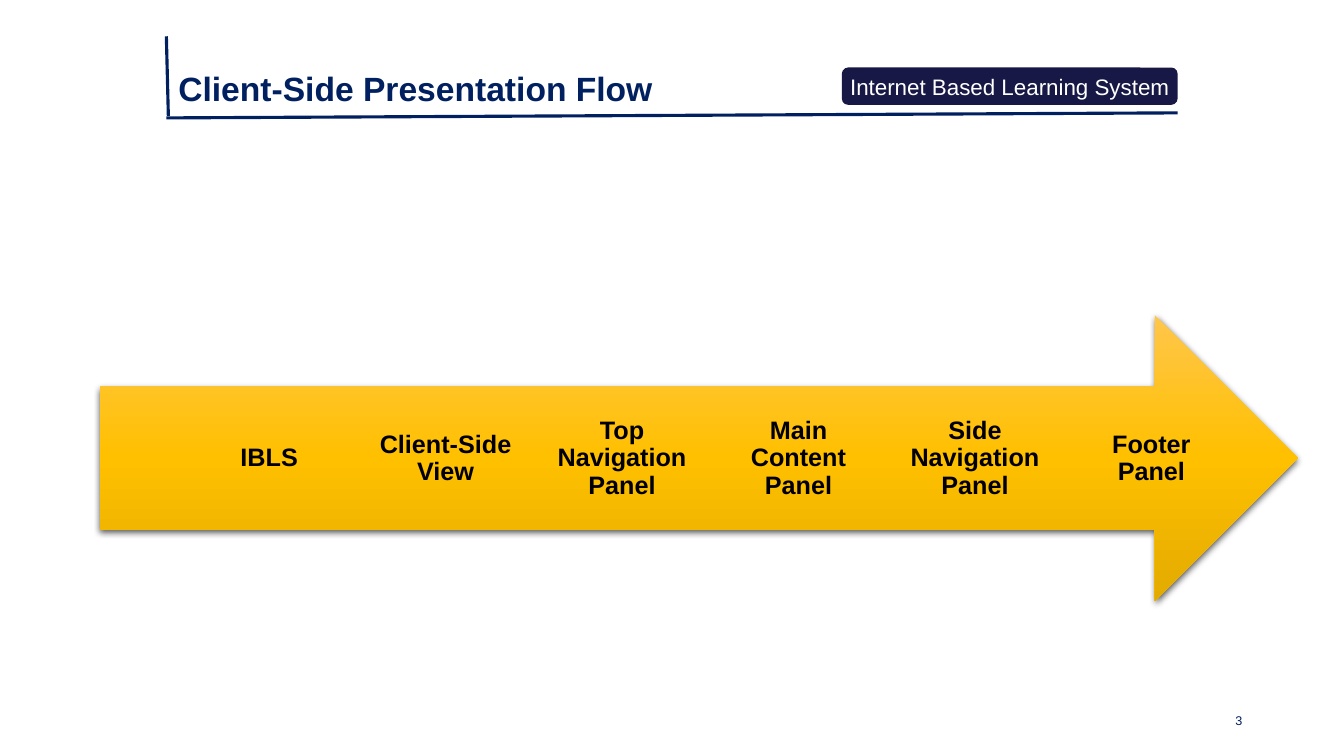
from copy import deepcopy
from dataclasses import dataclass

from lxml.etree import SubElement
from pptx import Presentation
from pptx.dml.color import RGBColor
from pptx.enum.shapes import MSO_CONNECTOR, MSO_SHAPE
from pptx.enum.text import MSO_ANCHOR as ANCHOR, PP_ALIGN as ALIGN
from pptx.oxml.ns import qn
from pptx.util import Emu, Pt

EMU_PER_PX = 9144  # 100 px to the inch
NAVY = "002060"
BADGE = "171845"
WHITE = "FFFFFF"
BLACK = "000000"
ARROW_STOPS = [(0, "FFC64B"), (0.5, "FFC000"), (1, "E3AB00")]
STAGES = ["IBLS", "Client-Side View", "Top Navigation Panel",
          "Main Content Panel", "Side Navigation Panel", "Footer Panel"]
STAGE_LEFT, STAGE_STEP = 194, 175


@dataclass
class Box:
    left: int
    top: int
    width: int
    height: int

    def emu(self) -> list[Emu]:
        return [px(v) for v in (self.left, self.top, self.width, self.height)]


@dataclass
class Rule:
    x1: int
    y1: int
    x2: int
    y2: int


TITLE_RULES = [Rule(165, 36, 167, 115), Rule(165, 117, 1168, 112)]


def px(value: int) -> Emu:
    return Emu(value * EMU_PER_PX)


def rgb(color: str) -> RGBColor:
    return RGBColor.from_string(color)


def write(sp, text: str, *, size: int, color: str, bold: bool = False,
          align=ALIGN.LEFT, anchor=ANCHOR.MIDDLE, spacing: float = 1.0,
          inset_x: int = 10, inset_y: int = 5) -> None:
    tf = sp.text_frame
    tf.word_wrap = True
    tf.vertical_anchor = anchor
    tf.margin_left = tf.margin_right = px(inset_x)
    tf.margin_top = tf.margin_bottom = px(inset_y)
    p = tf.paragraphs[0]
    p.alignment = align
    p.line_spacing = spacing
    r = p.add_run()
    r.text = text
    r.font.name = "Arial"
    r.font.size = Pt(size)
    r.font.bold = bold
    r.font.color.rgb = rgb(color)


def add_text(s, box: Box, text: str, **text_format) -> None:
    write(s.shapes.add_textbox(*box.emu()), text, **text_format)


def add_rule(s, rule: Rule) -> None:
    line = s.shapes.add_connector(MSO_CONNECTOR.STRAIGHT, px(rule.x1), px(rule.y1),
                                  px(rule.x2), px(rule.y2))
    line.line.color.rgb = rgb(NAVY)
    line.line.width = Pt(2.25)
    SubElement(line._element.spPr, qn("a:effectLst"))


def add_shape(s, kind, box: Box):
    sp = s.shapes.add_shape(kind, *box.emu())
    sp.line.fill.background()
    sp.shadow.inherit = False
    return sp


def add_badge(s) -> None:
    sp = add_shape(s, MSO_SHAPE.ROUNDED_RECTANGLE, Box(835, 67, 333, 37))
    sp.fill.solid()
    sp.fill.fore_color.rgb = rgb(BADGE)
    write(sp, "Internet Based Learning System", size=16, color=WHITE,
          align=ALIGN.CENTER, inset_x=0)


def add_flow_arrow(s) -> None:
    sp = add_shape(s, MSO_SHAPE.RIGHT_ARROW, Box(99, 313, 1188, 283))
    sp.fill.gradient()
    sp.fill.gradient_angle = 270  # counter-clockwise: runs top to bottom
    stop_list = sp._element.spPr.find(".//" + qn("a:gsLst"))
    stop_list.append(deepcopy(stop_list[0]))
    for stop, (position, color) in zip(sp.fill.gradient_stops, ARROW_STOPS):
        stop.position = position
        stop.color.rgb = rgb(color)
    effects = sp._element.spPr.find(qn("a:effectLst"))
    shadow = SubElement(effects, qn("a:outerShdw"), blurRad=str(Pt(4.5)),
                        dist=str(Pt(1.5)), dir="5400000", algn="ctr", rotWithShape="0")
    tint = SubElement(shadow, qn("a:srgbClr"), val=BLACK)
    SubElement(tint, qn("a:alpha"), val="63000")


def main() -> None:
    prs = Presentation()
    prs.slide_width, prs.slide_height = px(1333), px(750)
    s = prs.slides.add_slide(prs.slide_layouts[6])

    for rule in TITLE_RULES:
        add_rule(s, rule)
    add_badge(s)
    add_text(s, Box(942, 695, 300, 40), "3", size=9, color=NAVY, align=ALIGN.RIGHT)
    add_text(s, Box(167, 67, 672, 50), "Client-Side Presentation Flow", size=24,
             color=NAVY, bold=True, anchor=ANCHOR.TOP, spacing=0.9)

    add_flow_arrow(s)
    for i, stage in enumerate(STAGES):
        add_text(s, Box(STAGE_LEFT + i * STAGE_STEP, 384, 146, 142), stage, size=18,
                 color=BLACK, bold=True, align=ALIGN.CENTER, spacing=0.9,
                 inset_x=0, inset_y=20)

    prs.save("out.pptx")


if __name__ == "__main__":
    main()
